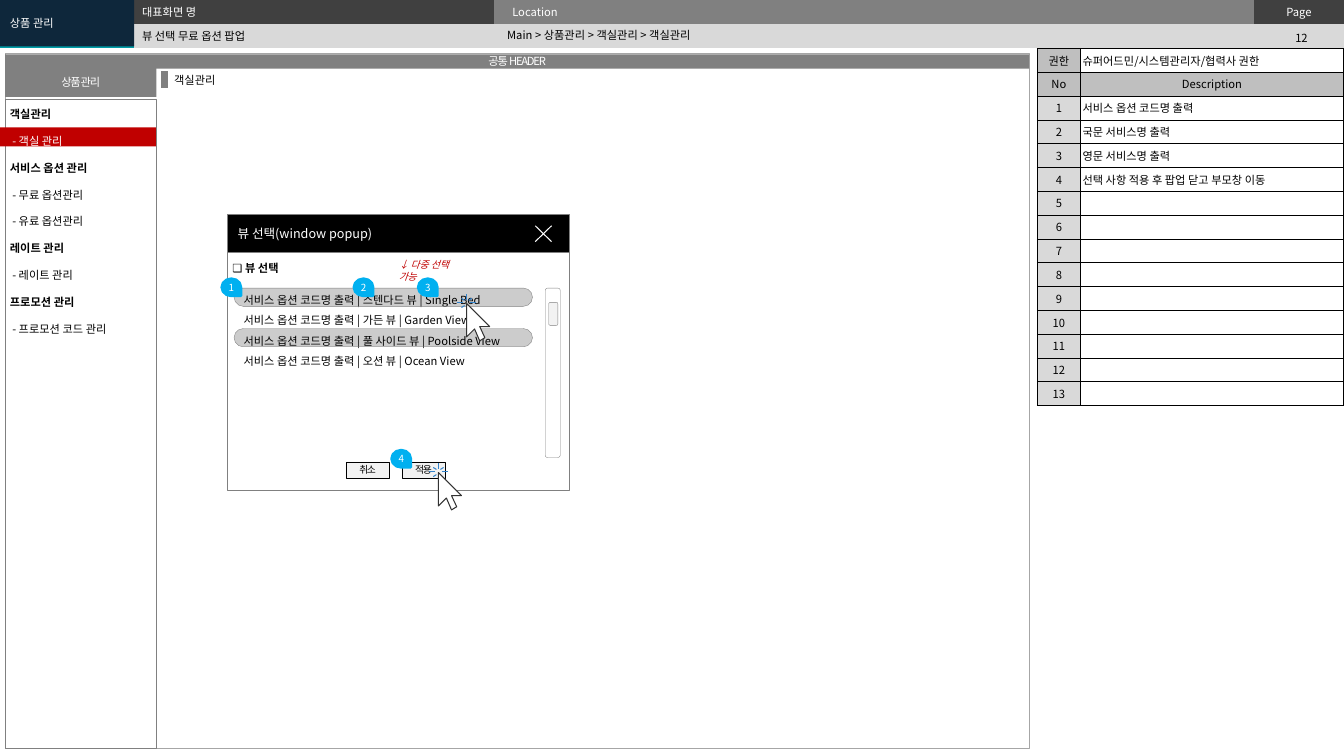
from lxml.etree import SubElement
from pptx import Presentation
from pptx.dml.color import RGBColor
from pptx.enum.shapes import MSO_CONNECTOR, MSO_SHAPE as Shape
from pptx.enum.text import MSO_ANCHOR as Anchor, MSO_AUTO_SIZE, PP_ALIGN as Align
from pptx.oxml.ns import qn
from pptx.util import Cm, Pt

FONT = "Noto Sans CJK KR"
NO_STYLE = "{2D5ABB26-0587-4C30-8999-92F81FD0307C}"
WHITE, BLACK = RGBColor(255, 255, 255), RGBColor(0, 0, 0)
CHARCOAL, GRAY = RGBColor(0x40, 0x40, 0x40), RGBColor(0x80, 0x80, 0x80)
FRAME_GRAY, HEAD_GRAY = RGBColor(0xA6, 0xA6, 0xA6), RGBColor(0xBF, 0xBF, 0xBF)
LIGHT_GRAY, PALE_GRAY = RGBColor(0xD9, 0xD9, 0xD9), RGBColor(0xF2, 0xF2, 0xF2)
NAVY, TEAL, RED = RGBColor(0x0E, 0x27, 0x3B), RGBColor(0, 0x9C, 0xA6), RGBColor(0xC0, 0, 0)
BADGE_BLUE, SPARK_BLUE = RGBColor(0, 0xB0, 0xF0), RGBColor(0x34, 0x83, 0xCB)
CURSOR_LINE = RGBColor(0x33, 0x33, 0x33)

MENU = ["객실관리", "- 객실 관리", "서비스 옵션 관리", "- 무료 옵션관리", "- 유료 옵션관리",
        "레이트 관리", "- 레이트 관리", "프로모션 관리", "- 프로모션 코드 관리"]
DESCRIPTIONS = ["서비스 옵션 코드명 출력", "국문 서비스명 출력", "영문 서비스명 출력",
                "선택 사항 적용 후 팝업 닫고 부모창 이동"]
VIEWS = ["스텐다드 뷰 | Single Bed", "가든 뷰 | Garden View",
         "풀 사이드 뷰 | Poolside View", "오션 뷰 | Ocean View"]
ARROW = [(0, 0), (0, 0.84), (0.2, 0.64), (0.33, 0.94), (0.46, 0.86), (0.33, 0.58), (0.58, 0.58)]
SPARK = [((-0.05, 0.05), (-0.13, 0.1)), ((-0.05, -0.08), (-0.13, -0.13)),
         ((0.05, -0.08), (0.13, -0.13)), ((-0.08, -0.03), (-0.25, -0.03)),
         ((0, -0.1), (0, -0.25)), ((0.08, -0.03), (0.23, -0.03))]


def write(paragraph, text, size=8, color=BLACK, bold=False, italic=False,
          align=Align.LEFT, spacing=None, tracking=None):
    paragraph.text = text
    paragraph.alignment = align
    paragraph.space_before = Pt(0)
    if spacing:
        paragraph.line_spacing = spacing
    font = paragraph.font
    font.size, font.bold, font.italic, font.name = Pt(size), bold, italic, FONT
    font.color.rgb = color
    properties = paragraph._p.pPr.find(qn("a:defRPr"))
    SubElement(properties, qn("a:ea"), typeface=FONT)
    if tracking:
        properties.set("spc", str(tracking))
    if not text:
        SubElement(paragraph._p, qn("a:endParaRPr"), sz=str(size * 100))


def set_frame(frame, anchor=Anchor.TOP, across=0.25, down=0.13):
    frame.word_wrap, frame.auto_size = True, MSO_AUTO_SIZE.NONE
    frame.vertical_anchor = anchor
    frame.margin_left = frame.margin_right = Cm(across)
    frame.margin_top = frame.margin_bottom = Cm(down)


def paint(shape, fill=None, line=None, weight=0.25):
    shape.shadow.inherit = False
    if fill is None:
        shape.fill.background()
    else:
        shape.fill.solid()
        shape.fill.fore_color.rgb = fill
    if line is None:
        shape.line.fill.background()
    else:
        shape.line.color.rgb = line
        shape.line.width = Pt(weight)
    return shape


def add_box(slide, box, fill=None, line=None, weight=0.25, kind=Shape.RECTANGLE):
    return paint(slide.shapes.add_shape(kind, *map(Cm, box)), fill, line, weight)


def label(shape, text, across=0.1, down=0.13, **style):
    set_frame(shape.text_frame, Anchor.MIDDLE, across, down)
    write(shape.text_frame.paragraphs[0], text, **style)


def add_text(slide, box, text, **style):
    frame = slide.shapes.add_textbox(*map(Cm, box)).text_frame
    set_frame(frame)
    write(frame.paragraphs[0], text, **style)


def fill_placeholder(slide, index, box, lines, styles, anchor=Anchor.MIDDLE):
    shape = slide.placeholders[index]
    shape.left, shape.top, shape.width, shape.height = map(Cm, box)
    slide.shapes.element.append(shape.element)  # bring to front
    frame = shape.text_frame
    set_frame(frame, anchor)
    for number, (text, style) in enumerate(zip(lines, styles)):
        paragraph = frame.add_paragraph() if number else frame.paragraphs[0]
        properties = paragraph._p.get_or_add_pPr()
        properties.set("marL", str(Cm(0.06) if text.startswith("-") else 0))
        properties.set("indent", "0")
        SubElement(properties, qn("a:buNone"))
        write(paragraph, text, **style)
    return shape


def add_table(slide, left, top, widths, row_count, row_height):
    table = slide.shapes.add_table(row_count, len(widths), Cm(left), Cm(top), Cm(sum(widths)),
                                   Cm(row_count * row_height)).table
    table._tbl.tblPr.find(qn("a:tableStyleId")).text = NO_STYLE
    for column, width in zip(table.columns, widths):
        column.width = Cm(width)
    for row in table.rows:
        row.height = Cm(row_height)
    return table


def set_cell(cell, text, fill, across, bordered=False, **style):
    cell.margin_left = cell.margin_right = Cm(across)
    cell.margin_top = cell.margin_bottom = Cm(0.09)
    write(cell.text_frame.paragraphs[0], text, **style)
    if bordered:
        for side in ("a:lnL", "a:lnR", "a:lnT", "a:lnB"):
            line = SubElement(cell._tc.get_or_add_tcPr(), qn(side), w=str(Pt(0.5)))
            SubElement(SubElement(line, qn("a:solidFill")), qn("a:srgbClr"), val=str(BLACK))
    cell.fill.solid()
    cell.fill.fore_color.rgb = fill


def add_strokes(slide, left, top, strokes, color, closed=False, fill=None):
    # Points are whole EMU, since a freeform rounds its local units
    strokes = [[(Cm(x), Cm(y)) for x, y in stroke] for stroke in strokes]
    builder = slide.shapes.build_freeform(*strokes[0][0])
    for number, (start, *rest) in enumerate(strokes):
        if number:
            builder.move_to(*start)
        builder.add_line_segments(rest, close=closed)
    paint(builder.convert_to_shape(Cm(left), Cm(top)), fill, color, 0.75)


def add_cursor(slide, left, top):
    add_strokes(slide, left, top, [ARROW], CURSOR_LINE, closed=True, fill=WHITE)
    add_strokes(slide, left, top, SPARK, SPARK_BLUE)


def add_badge(slide, center_x, center_y, text):
    width, height = 0.43, 0.48
    badge = add_box(slide, (center_x - width / 2, center_y - height / 2, width, height),
                    BADGE_BLUE, BADGE_BLUE, 2, Shape.TEAR)
    badge.rotation = 90
    label(badge, text, 0, 0, size=7, color=WHITE, align=Align.CENTER)
    badge.text_frame._txBody.bodyPr.set("vert", "vert270")


def page_header(slide, left, top):
    widths, height = (3.38, 9.07, 19.15, 2.27), 0.6
    table = add_table(slide, left, top, widths, 2, height)
    rows = [[("", TEAL), ("", CHARCOAL), ("Location", GRAY), ("Page", CHARCOAL)],
            [("", TEAL)] + [("", LIGHT_GRAY)] * 3]
    for row, cells in enumerate(rows):
        for column, (text, fill) in enumerate(cells):
            set_cell(table.cell(row, column), text, fill, 0.46, color=WHITE,
                     align=Align.CENTER if text == "Page" else Align.LEFT)
    table.cell(0, 0).merge(table.cell(1, 0))
    add_text(slide, (left + 31.75, top + 0.65, 2.1, 0.61), "12", align=Align.CENTER)
    white = [{"color": WHITE}]
    fill_placeholder(slide, 0, (left + 3.33, top + 0.62, 9.22, 0.56), ["뷰 선택 무료 옵션 팝업"], [{}])
    fill_placeholder(slide, 1, (left + 12.53, top + 0.58, 18.75, 0.61),
                     ["Main > 상품관리 > 객실관리 > 객실관리"], [{}])
    fill_placeholder(slide, 2, (left + 3.33, top, 9.19, 0.56), ["대표화면 명"], white, Anchor.TOP)
    category = fill_placeholder(slide, 3, (left, top, 3.38, 1.17), ["상품 관리"], white)
    category.fill.solid()
    category.fill.fore_color.rgb = NAVY


def screen_area(slide, left, top, width, height):
    add_box(slide, (left, top, width, height), line=FRAME_GRAY)
    heading = {"color": WHITE, "align": Align.CENTER, "tracking": -90}
    label(add_box(slide, (left, top + 0.02, width, 0.36), GRAY), "공통 HEADER", **heading)
    # Side menu
    add_box(slide, (left, top + 1.14, 3.81, height - 1.14), line=GRAY)
    label(add_box(slide, (left, top + 0.35, 3.81, 0.74), GRAY), "상품 관리", **heading)
    add_box(slide, (0, top + 1.86, left + 3.8, 0.48), RED)
    styles = [{"bold": not item.startswith("-"), "spacing": 2,
               "color": WHITE if item == "- 객실 관리" else BLACK} for item in MENU]
    fill_placeholder(slide, 4, (0, top + 0.89, 4.01, 6.3), MENU, styles, Anchor.TOP)
    # Content heading with its marker
    add_text(slide, (left + 4.01, top + 0.38, 6.12, 0.61), "객실관리")
    x = Cm(left + 4.02)
    marker = slide.shapes.add_connector(MSO_CONNECTOR.STRAIGHT, x, Cm(top + 0.45), x, Cm(top + 0.86))
    marker.line.color.rgb, marker.line.width = GRAY, Pt(4.5)
    SubElement(marker.element.spPr, qn("a:effectLst"))


def description_table(slide, left, top):
    rows = [("권한", "슈퍼어드민/시스템관리자/협력사 권한"), ("No", "Description")]
    rows += [(str(n + 1), DESCRIPTIONS[n] if n < len(DESCRIPTIONS) else "") for n in range(13)]
    table = add_table(slide, left, top, (1.09, 6.63), len(rows), 0.6)
    for row, (key, text) in enumerate(rows):
        set_cell(table.cell(row, 0), key, HEAD_GRAY if row < 2 else LIGHT_GRAY, 0.05, True,
                 align=Align.CENTER)
        set_cell(table.cell(row, 1), text, HEAD_GRAY if row == 1 else WHITE, 0.05, True,
                 align=Align.CENTER if row == 1 else Align.LEFT)


def view_popup(slide, left, top, width, height):
    # Window
    add_box(slide, (left, top + 0.96, width, height - 0.96), WHITE, GRAY, 0.5)
    label(add_box(slide, (left, top, width, 0.96), BLACK, GRAY, 0.5), "뷰 선택(window popup)",
          across=0.25, size=9, color=WHITE)
    add_strokes(slide, left + 7.75, top + 0.28,
                [((0.41, 0), (0, 0.4)), ((0, 0), (0.41, 0.4))], WHITE)
    add_text(slide, (left - 0.13, top + 1.04, 6.45, 0.61), "❏ 뷰 선택", bold=True)
    for x, text in ((2.98, "취소"), (4.39, "적용")):
        label(add_box(slide, (left + x, top + 6.23, 1.09, 0.41), PALE_GRAY, BLACK), text, 0, 0,
              size=7, align=Align.CENTER, tracking=-90)
    # Options and scroll bar
    frame = add_box(slide, (left + 0.2, top + 1.72, 8.2, 4.39), WHITE).text_frame
    set_frame(frame, across=0.2, down=0.1)
    for number, view in enumerate(VIEWS):
        paragraph = frame.add_paragraph() if number else frame.paragraphs[0]
        write(paragraph, "서비스 옵션 코드명 출력 | " + view, spacing=1.5)
    add_box(slide, (left + 8.09, top + 2.21, 0.23, 0.58), PALE_GRAY, GRAY, kind=Shape.ROUNDED_RECTANGLE)
    add_box(slide, (left + 8, top + 1.85, 0.38, 4.27), line=GRAY, kind=Shape.ROUNDED_RECTANGLE)
    add_text(slide, (left + 4.06, top + 0.99, 2.26, 0.56), "↓ 다중 선택 가능", size=7, color=RED,
             italic=True)
    # Selected rows, cursors and numbers
    for y in (1.85, 2.87):
        pill = add_box(slide, (left + 0.16, top + y, 7.52, 0.46), BLACK, GRAY,
                       kind=Shape.ROUNDED_RECTANGLE)
        pill.adjustments[0] = 0.5
        SubElement(pill.element.spPr.find(qn("a:solidFill"))[0], qn("a:alpha"), val="20000")
    for x, y in ((6.02, 2.24), (5.31, 6.5)):
        add_cursor(slide, left + x, top + y)
    for number, (x, y) in enumerate([(0.09, 1.83), (3.42, 1.83), (5.04, 1.83), (4.37, 6.15)], 1):
        add_badge(slide, left + x, top + y, str(number))


def main():
    presentation = Presentation()
    presentation.slide_width, presentation.slide_height = Cm(33.87), Cm(19.05)
    slide = presentation.slides.add_slide(presentation.slide_layouts[4])
    page_header(slide, 0, 0)
    screen_area(slide, 0.13, 1.35, 25.81, 17.5)
    description_table(slide, 26.14, 1.22)
    view_popup(slide, 5.74, 5.41, 8.61, 6.94)
    presentation.save("out.pptx")


if __name__ == "__main__":
    main()
